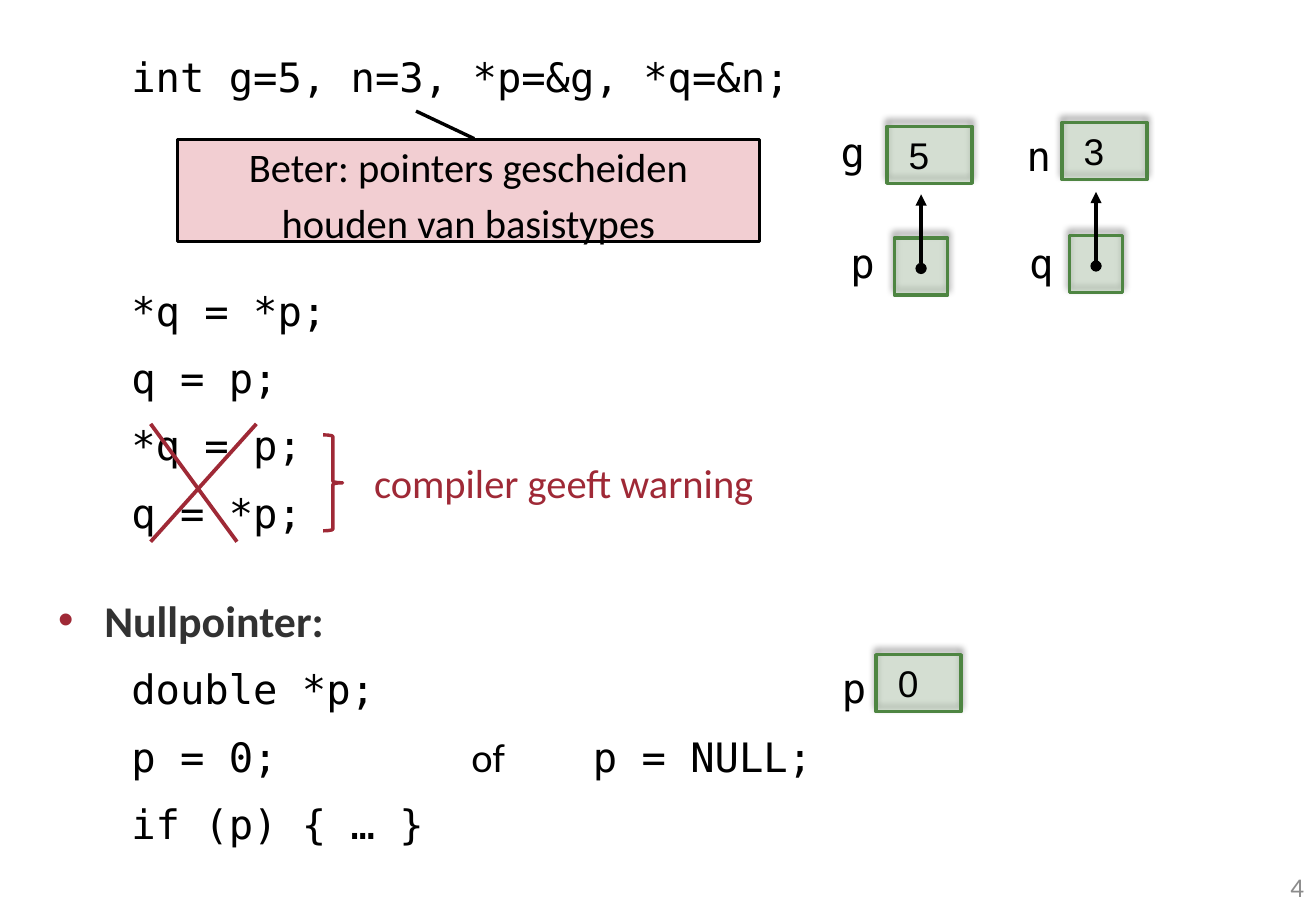
"""Build a slide on pointer assignments and the null pointer in C."""
from lxml import etree
from pptx import Presentation
from pptx import util as u
from pptx.dml.color import RGBColor
from pptx.enum import shapes, text
from pptx.oxml.ns import qn

MONO, SANS, ARIAL = "DejaVu Sans Mono", "Calibri", "Arial"
HUES = {"ink": "000000", "red": "9F2936", "pink": "F2CED2", "edge": "4E8542",
        "cell": "B3D6AC", "head": "323232", "page": "8C8C8C"}
CODE = [
    (0, ["   int g=5, n=3, *p=&g, *q=&n;"]),
    (104, ["   *q = *p;"]),
    (4.8, ["   q = p;"]),
    (4.8, ["   *q = p;"]),
    (4.8, ["   q = *p;"]),
    (30, ["Nullpointer:"]),
    (4.8, ["   double *p;"]),
    (4.8, ["   p = 0;", "\tof", "\tp = NULL;"]),
    (4.8, ["   if (p) { … }"]),
]
TITLE, WORD = "Nullpointer:", "\tof"
TABS = (3.4, 4.4)
CELLS = [("5", 7.3, 1.04), ("3", 8.74, 1.01), ("0", 7.21, 5.39)]
LINKS = [(7.36, 1.96), (8.8, 1.94)]
NAMES = [("g", 6.82, 1), ("n", 8.35, 1.03), ("p", 6.9, 1.91),
         ("q", 8.37, 1.91), ("p", 6.83, 5.41)]
CROSS = [(1.24, 1.95), (2.11, 1.24)]
NOTE = "Beter: pointers gescheiden houden van basistypes"
WARN = "compiler geeft warning"


def tint(name):
    return RGBColor.from_string(HUES[name])


def box(items, *area):
    return items.add_textbox(*map(u.Inches, area))


def write(para, words, size=24, face=SANS, hue="ink", bold=False):
    run = para.add_run()
    run.text = words
    font = run.font
    font.size, font.name, font.bold = u.Pt(size), face, bold
    font.color.rgb = tint(hue)


def label(items, words, area, side="LEFT", **look):
    frame = box(items, *area).text_frame
    frame.word_wrap = True
    para = frame.paragraphs[0]
    para.alignment = getattr(text.PP_ALIGN, side)
    write(para, words, **look)
    return frame


def form(items, kind, area, edge, fill=None):
    part = items.add_shape(kind, *map(u.Inches, area))
    part.shadow.inherit = False
    part.line.color.rgb, part.line.width = tint(edge), u.Pt(2)
    if fill:
        part.fill.solid()
        part.fill.fore_color.rgb = tint(fill)
    else:
        part.fill.background()
    return part


def child(node, tag, **attrs):
    return etree.SubElement(node, qn(tag), attrs)


def cell(items, left, top, wide):
    part = form(items, shapes.MSO_SHAPE.RECTANGLE, (left, top, wide, 0.47),
                "edge", "cell")
    props = part.element.spPr
    child(props.find(qn("a:solidFill"))[0], "a:alpha", val="29000")
    glow = child(props.find(qn("a:effectLst")), "a:outerShdw",
                 blurRad=str(u.Pt(4)), dist=str(u.Pt(3)), dir="16200000",
                 rotWithShape="0")
    shade = child(glow, "a:srgbClr", val=HUES["ink"])
    child(shade, "a:alpha", val="40000")


def stroke(items, ends, hue, arrow=False):
    line = items.add_connector(shapes.MSO_CONNECTOR.STRAIGHT,
                               *map(u.Inches, ends))
    line.line.color.rgb, line.line.width = tint(hue), u.Pt(2.25)
    props = line.element.spPr
    if arrow:
        edge = props.find(qn("a:ln"))
        child(edge, "a:headEnd", type="oval")
        child(edge, "a:tailEnd", type="triangle")
    child(props, "a:effectLst")


def body(items):
    frame = box(items, 0.38, 0.29, 9.61, 5.98).text_frame
    frame.word_wrap = True
    for rank, (gap, parts) in enumerate(CODE):
        para = frame.add_paragraph() if rank else frame.paragraphs[0]
        props = para._p.get_or_add_pPr()
        para.line_spacing, para.space_before = u.Pt(35), u.Pt(gap)
        if parts[0] == TITLE:
            props.set("marL", str(u.Inches(0.38)))
            props.set("indent", str(u.Inches(-0.38)))
            child(child(props, "a:buClr"), "a:srgbClr", val=HUES["red"])
            child(props, "a:buFont", typeface=ARIAL)
            child(props, "a:buChar", char="•")
            write(para, TITLE, 26, SANS, "head", True)
            continue
        if len(parts) > 1:
            stops = child(props, "a:tabLst")
            for stop in TABS:
                child(stops, "a:tab", pos=str(u.Inches(stop)), algn="l")
        for words in parts:
            write(para, words, face=SANS if words == WORD else MONO)


def memory(items):
    for value, left, top in CELLS:
        cell(items, left, top, 0.7)
        label(items, value, (left + 0.08, top, 0.71, 0.47),
              size=22, face=ARIAL)
    for left, top in LINKS:
        cell(items, left, top, 0.44)
        mid = left + 0.22
        stroke(items, (mid, top + 0.25, mid, top - 0.36), "ink", True)
    for name, left, top in NAMES:
        label(items, name, (left, top, 0.4, 0.5), face=MONO)


def notes(items):
    call = form(items, shapes.MSO_SHAPE.LINE_CALLOUT_1,
                (1.46, 1.15, 4.79, 0.84), "ink", "pink")
    for rank, value in enumerate((-0.01, 0.51, -0.28, 0.41)):
        call.adjustments[rank] = value
    frame = call.text_frame
    frame.word_wrap = True
    frame.vertical_anchor = text.MSO_ANCHOR.MIDDLE
    para = frame.paragraphs[0]
    para.alignment, para.line_spacing = text.PP_ALIGN.CENTER, u.Pt(33)
    write(para, NOTE)
    label(items, WARN, (2.98, 3.72, 4.24, 0.5), hue="red")
    form(items, shapes.MSO_SHAPE.RIGHT_BRACE, (2.66, 3.58, 0.16, 0.79), "red")
    for start, end in CROSS:
        stroke(items, (start, 3.49, end, 4.46), "red")


def main():
    deck = Presentation()
    deck.slide_width, deck.slide_height = u.Inches(10.83), u.Inches(7.5)
    items = deck.slides.add_slide(deck.slide_layouts[6]).shapes
    body(items)
    memory(items)
    notes(items)
    page = label(items, "4", (8.3, 7.1, 2.53, 0.4), "RIGHT",
                 size=16, hue="page")
    page.vertical_anchor = text.MSO_ANCHOR.MIDDLE
    deck.save("out.pptx")


if __name__ == "__main__":
    main()
